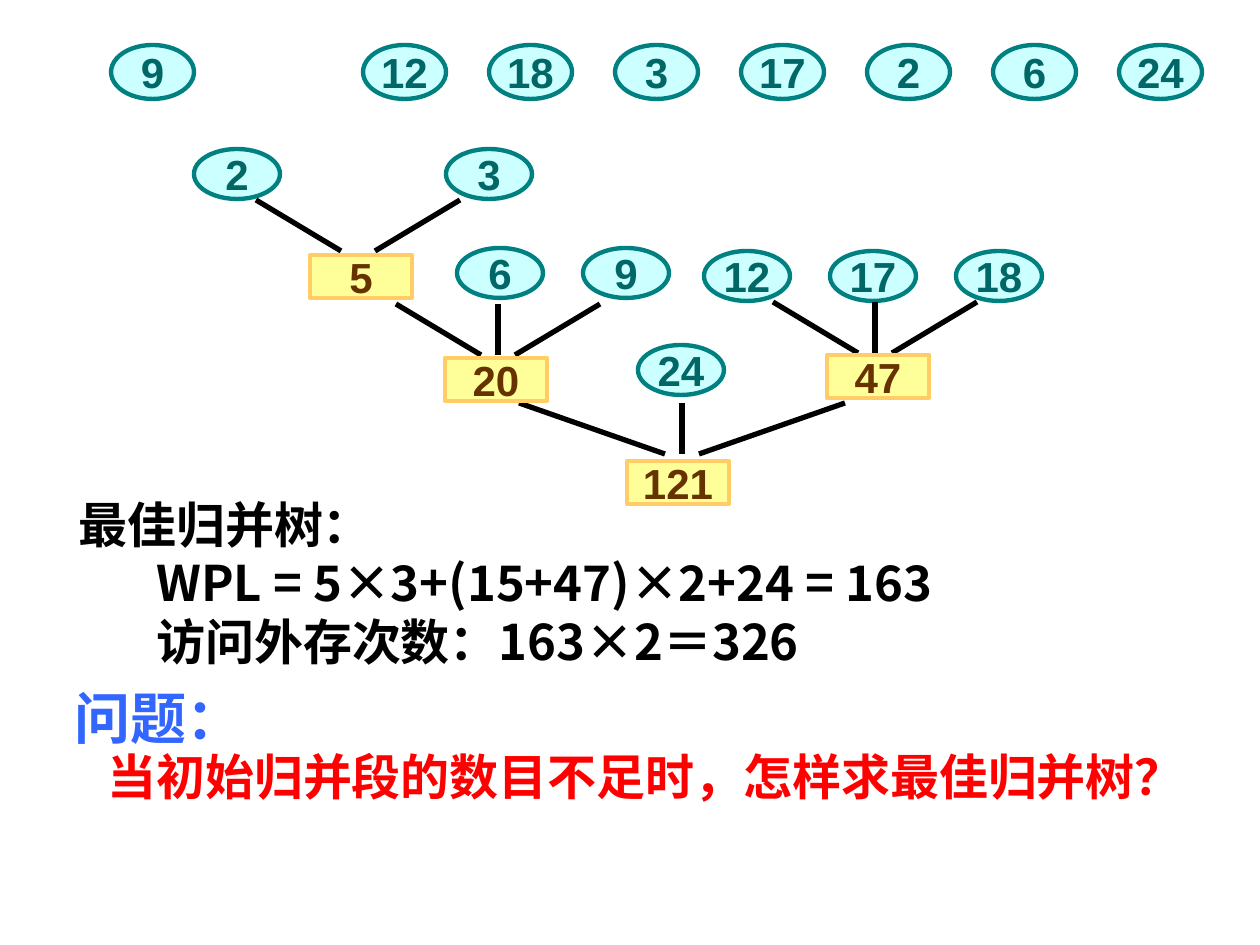
from dataclasses import dataclass

from lxml.etree import SubElement
from pptx import Presentation
from pptx.dml.color import RGBColor
from pptx.enum.shapes import MSO_CONNECTOR, MSO_SHAPE
from pptx.enum.text import MSO_ANCHOR, PP_ALIGN
from pptx.oxml.ns import qn
from pptx.util import Emu, Pt


@dataclass(frozen=True)
class Theme:
    latin: str = "Arial"
    chinese: str = "Noto Sans CJK SC"
    leaf: tuple = ("CCFFFF", "008080", "006666")  # fill, line, text
    merged: tuple = ("FFFF99", "FFCC66", "663300")
    black: str = "000000"
    blue: str = "3366FF"
    red: str = "FF0000"
    node_size: int = 24
    body_size: int = 28
    heading_size: int = 32
    outline: float = 2.5
    branch: int = 3


THEME = Theme()

# Initial runs: None is the empty place in the row
RUNS = ["9", None, "12", "18", "3", "17", "2", "6", "24"]
RUN_LEFT, RUN_TOP, RUN_SIZE = 111, 45, (83, 54)
STEP = 126

# Tree leaves: labels, left of the first, top
LEAF_SIZE = (86, 50)
LEAF_ROWS = [
    (["2", None, "3"], 194, 149),
    (["6", "9"], 457, 248),
    (["12", "17", "18"], 704, 251),
    (["24"], 638, 345),
]

# Merged nodes: label, left, top
MERGED_SIZE = (102, 43)
MERGED_NODES = [("5", 310, 255), ("20", 445, 358), ("47", 827, 355), ("121", 627, 461)]

# Branches: centre, top, outer reach, number of children
FAN_HEIGHT, FAN_FOOT = 51, 17
FANS = [(358, 200, 102, 2), (498, 304, 102, 3), (875, 302, 102, 3), (682, 403, 163, 3)]

# Text blocks: box, then lines of (text, indent, size, colour, line height in points)
TEXTS = [
    ((66, 488, 1102, 189), [
        ("最佳归并树：", 0, THEME.body_size, THEME.black, 33.6),
        ("WPL = 5×3+(15+47)×2+24 = 163", 78, THEME.body_size, THEME.black, 33.6),
        ("访问外存次数：163×2＝326", 78, THEME.body_size, THEME.black, 33.6),
    ]),
    ((62, 680, 1198, 126), [
        ("问题：", 0, THEME.heading_size, THEME.blue, 37),
        ("当初始归并段的数目不足时，怎样求最佳归并树？", 33, THEME.body_size, THEME.red, 31),
    ]),
]


def px(value):
    return Emu(round(value * 914400 / 126))


def color(value):
    return RGBColor.from_string(value)


def set_font(paragraph, name, size, text_color):
    font = paragraph.font
    font.name, font.size, font.bold = name, Pt(size), True
    font.color.rgb = color(text_color)


def add_node(slide, kind, label, left, top, size, colors):
    fill, line, text_color = colors
    shape = slide.shapes.add_shape(kind, *map(px, (left, top, *size)))
    shape.shadow.inherit = False
    shape.fill.solid()
    shape.fill.fore_color.rgb = color(fill)
    shape.line.color.rgb = color(line)
    shape.line.width = Pt(THEME.outline)
    frame = shape.text_frame
    frame.word_wrap = False
    frame.vertical_anchor = MSO_ANCHOR.MIDDLE
    paragraph = frame.paragraphs[0]
    paragraph.text = label
    paragraph.alignment = PP_ALIGN.CENTER
    set_font(paragraph, THEME.latin, THEME.node_size, text_color)


def add_leaves(slide, labels, left, top, size):
    for index, label in enumerate(labels):
        if label:
            add_node(slide, MSO_SHAPE.OVAL, label, left + index * STEP, top, size, THEME.leaf)


def add_fan(slide, center, top, reach, children):
    for side in (-1, 1) if children == 2 else (-1, 0, 1):
        ends = (center + side * reach, top, center + side * FAN_FOOT, top + FAN_HEIGHT)
        line = slide.shapes.add_connector(MSO_CONNECTOR.STRAIGHT, *map(px, ends))
        line.line.color.rgb = color(THEME.black)
        line.line.width = Pt(THEME.branch)
        SubElement(line._element.spPr, qn("a:effectLst"))


def add_text(slide, box, lines):
    frame = slide.shapes.add_textbox(*map(px, box)).text_frame
    frame.word_wrap = True
    for index, (text, indent, size, text_color, height) in enumerate(lines):
        paragraph = frame.add_paragraph() if index else frame.paragraphs[0]
        paragraph.text = text
        paragraph.line_spacing = Pt(height)
        properties = paragraph._p.get_or_add_pPr()
        properties.set("marL", str(px(indent)))
        properties.set("indent", "0")
        set_font(paragraph, THEME.chinese, size, text_color)
        # East Asian characters take the same font
        SubElement(properties.find(qn("a:defRPr")), qn("a:ea"), typeface=THEME.chinese)


def main():
    presentation = Presentation()
    presentation.slide_width, presentation.slide_height = px(1260), px(945)
    slide = presentation.slides.add_slide(presentation.slide_layouts[6])

    # Merge tree
    for labels, left, top in LEAF_ROWS:
        add_leaves(slide, labels, left, top, LEAF_SIZE)
    for fan in FANS:
        add_fan(slide, *fan)
    for label, left, top in MERGED_NODES:
        add_node(slide, MSO_SHAPE.RECTANGLE, label, left, top, MERGED_SIZE, THEME.merged)

    # Row of initial runs
    add_leaves(slide, RUNS, RUN_LEFT, RUN_TOP, RUN_SIZE)

    # Result and question
    for box, lines in TEXTS:
        add_text(slide, box, lines)

    presentation.save("out.pptx")


if __name__ == "__main__":
    main()
